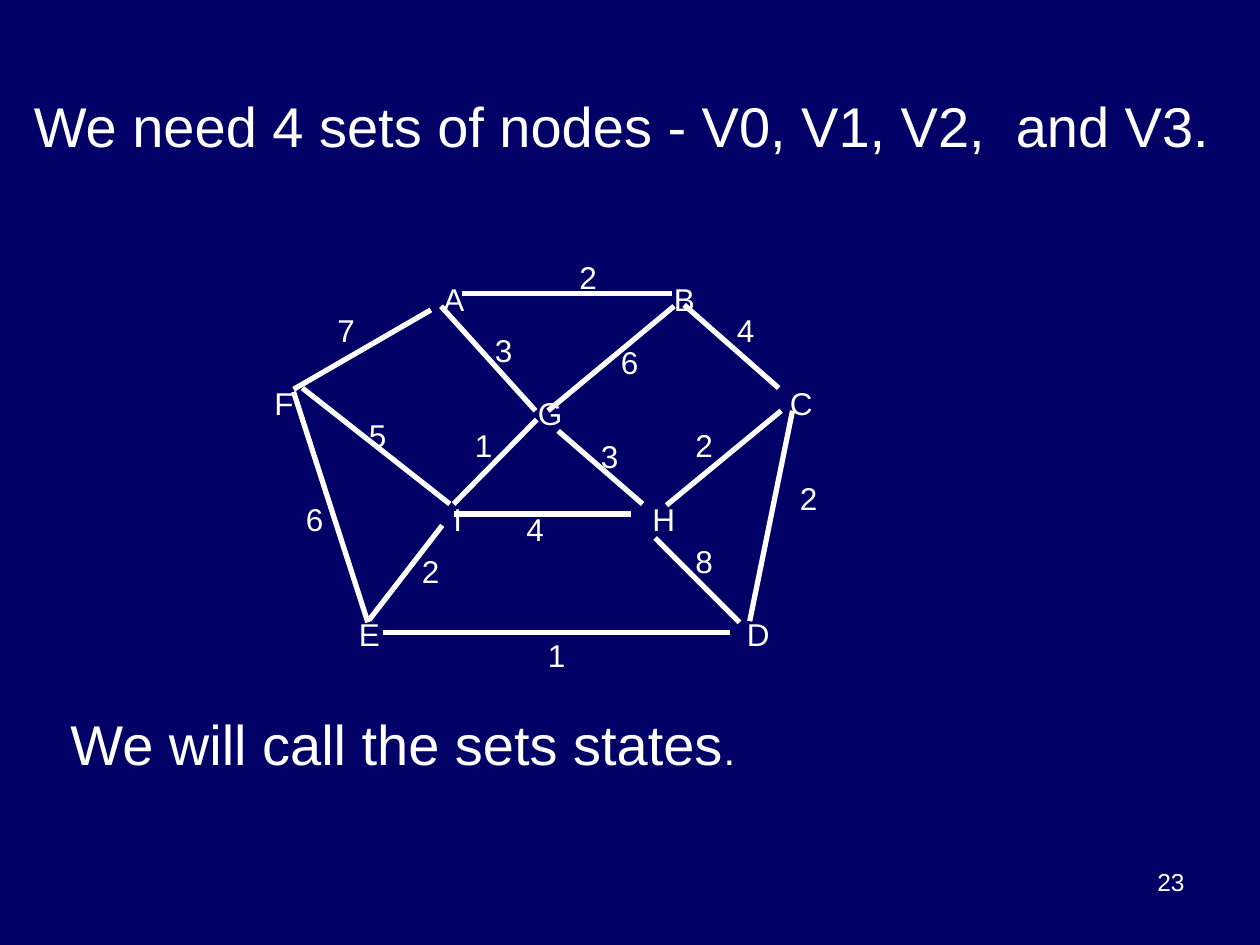
from pptx import Presentation
from pptx.dml.color import RGBColor
from pptx.enum.shapes import MSO_CONNECTOR
from pptx.enum.text import MSO_ANCHOR, PP_ALIGN
from pptx.oxml.ns import qn
from pptx.util import Inches, Pt
from lxml.etree import SubElement

COLORS = {"background": "000066", "ink": "FFFFFF"}

# Top left corner of each node letter
NODES = {
    "D": (5.83, 4.83), "E": (2.75, 4.83), "H": (5.08, 3.92),
    "I": (3.5, 3.92), "F": (2.08, 3), "C": (6.17, 3),
    "G": (4.17, 3.08), "B": (5.25, 2.17), "A": (3.42, 2.17),
}

# Edge: line start, line end, weight, top left corner of the weight
EDGES = {
    "AB": ((3.67, 2.33), (5.33, 2.33), 2, (4.5, 2)),
    "FI": ((2.4, 3.08), (3.57, 4), 5, (2.83, 3.25)),
    "FA": ((2.33, 3.09), (3.42, 2.46), 7, (2.58, 2.42)),
    "AG": ((3.5, 2.43), (4.25, 3.26), 3, (3.83, 2.58)),
    "BG": ((5.35, 2.43), (4.35, 3.26), 6, (4.83, 2.67)),
    "GI": ((4.26, 3.33), (3.6, 4), 1, (3.67, 3.33)),
    "GH": ((4.43, 3.42), (5.1, 4), 3, (4.67, 3.42)),
    "BC": ((5.43, 2.42), (6.18, 3.08), 4, (5.75, 2.42)),
    "CH": ((6.2, 3.26), (5.29, 4.01), 2, (5.42, 3.33)),
    "CD": ((6.29, 3.26), (5.95, 4.93), 2, (6.25, 3.75)),
    "HD": ((5.2, 4.27), (5.87, 4.94), 8, (5.42, 4.25)),
    "IH": ((3.6, 4.08), (5.01, 4.08), 4, (4.08, 4)),
    "IE": ((3.51, 4.17), (2.93, 4.92), 2, (3.25, 4.33)),
    "FE": ((2.33, 3.11), (2.92, 4.94), 6, (2.33, 3.92)),
    "ED": ((3.04, 5.02), (5.79, 5.02), 1, (4.25, 5)),
}


class GraphSlide:
    """Holds the style and the current slide."""

    font = "Arial"
    letter_size = 18
    letter_box = (0.42, 0.4)
    edge_width = 3

    def __init__(self, deck):
        self.slide = deck.slides.add_slide(deck.slide_layouts[6])
        fill = self.slide.background.fill
        fill.solid()
        fill.fore_color.rgb = RGBColor.from_string(COLORS["background"])
        self.ink = RGBColor.from_string(COLORS["ink"])

    def text(self, box, *runs, align=PP_ALIGN.LEFT, top_inset=0.05):
        """Add one paragraph made of (wording, size) runs."""
        frame = self.slide.shapes.add_textbox(*map(Inches, box)).text_frame
        layout = {
            "word_wrap": True,
            "vertical_anchor": MSO_ANCHOR.TOP,
            "margin_left": Inches(0.1),
            "margin_right": Inches(0.1),
            "margin_top": Inches(top_inset),
            "margin_bottom": Inches(0.05),
        }
        for name, value in layout.items():
            setattr(frame, name, value)
        paragraph = frame.paragraphs[0]
        paragraph.alignment = align
        for wording, size in runs:
            run = paragraph.add_run()
            run.text = wording
            for name, value in {"name": self.font, "size": Pt(size)}.items():
                setattr(run.font, name, value)
            run.font.color.rgb = self.ink

    def letter(self, corner, wording):
        """Add a node letter or an edge weight."""
        self.text((*corner, *self.letter_box), (wording, self.letter_size))

    def edge(self, start, end):
        """Add a straight line without a shadow."""
        edge = self.slide.shapes.add_connector(
            MSO_CONNECTOR.STRAIGHT, *map(Inches, (*start, *end)))
        edge.line.color.rgb = self.ink
        edge.line.width = Pt(self.edge_width)
        SubElement(edge._element.spPr, qn("a:effectLst"))


def main():
    deck = Presentation()
    deck.slide_width, deck.slide_height = Inches(10), Inches(7.5)
    graph = GraphSlide(deck)

    # Page number and title
    graph.text((7.17, 6.83, 2.33, 0.52), ("23", 14), align=PP_ALIGN.RIGHT)
    graph.text((0.17, 0.3, 9.83, 0.87),
               ("We need 4 sets of nodes - V0, V1, V2,  and V3.", 32),
               top_inset=0.43)

    # Weighted graph
    for node, corner in NODES.items():
        graph.letter(corner, node)
    for start, end, _, _ in EDGES.values():
        graph.edge(start, end)
    for _, _, weight, corner in EDGES.values():
        graph.letter(corner, str(weight))

    # Closing remark
    graph.text((0.46, 5.58, 9.58, 0.64),
               ("We will call the sets states", 32), (".", 24))

    deck.save("out.pptx")


if __name__ == "__main__":
    main()
